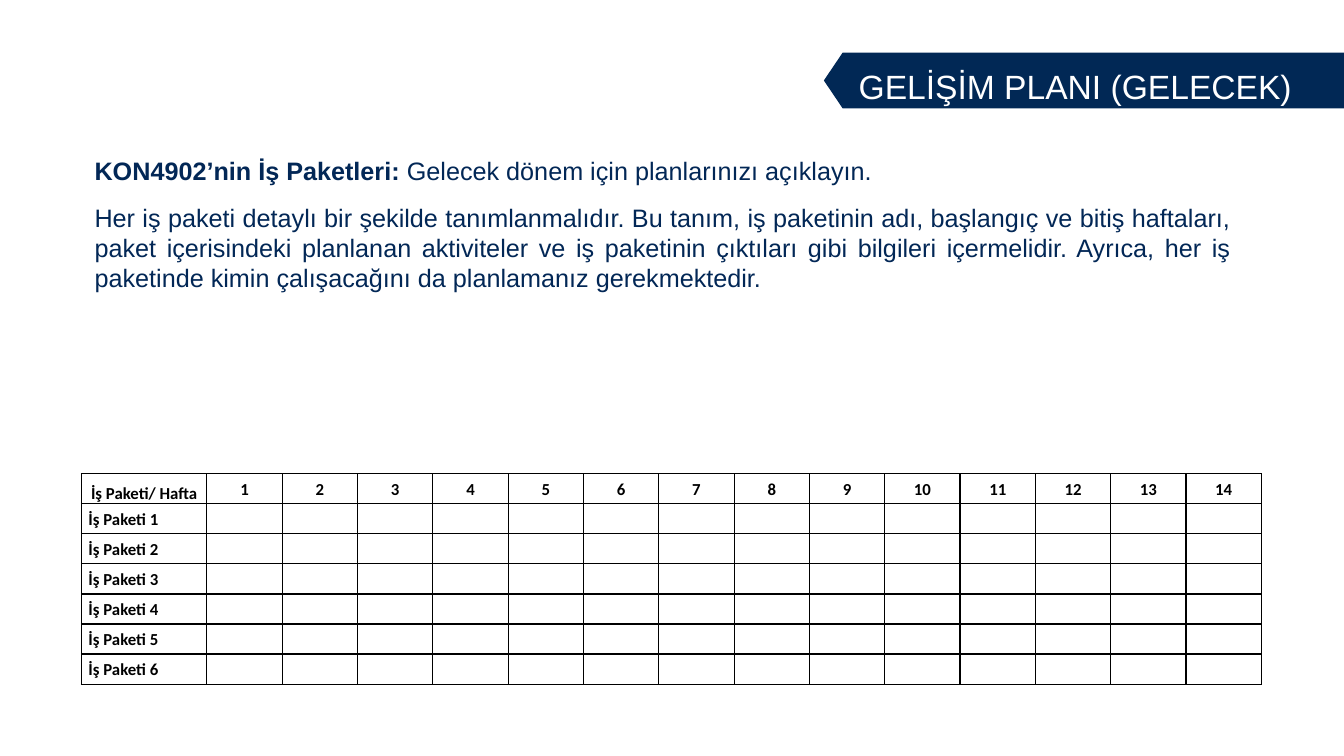
from pptx import Presentation
from pptx.dml.color import RGBColor
from pptx.enum.text import MSO_ANCHOR as Anchor, MSO_AUTO_SIZE as AutoSize, PP_ALIGN as Align
from pptx.oxml.ns import qn
from pptx.util import Pt
from lxml.etree import SubElement

BANNER_NAVY = RGBColor(0x01, 0x28, 0x55)
TEXT_NAVY = RGBColor(0x02, 0x27, 0x56)
WHITE = RGBColor(0xFF, 0xFF, 0xFF)
BLACK = RGBColor(0, 0, 0)

PACKAGE_COUNT = 6
WEEK_COUNT = 14
LABEL_WIDTH = 89.6
WEEK_WIDTH = 53.82
ROW_HEIGHT = 21.5

INTRO = [
    ("KON4902’nin İş Paketleri: ", True),
    ("Gelecek dönem için planlarınızı açıklayın.", False),
]
DETAILS = [
    ("Her iş paketi detaylı bir şekilde tanımlanmalıdır. Bu tanım, iş paketinin adı, "
     "başlangıç ve bitiş haftaları, paket içerisindeki planlanan aktiviteler ve iş "
     "paketinin çıktıları gibi bilgileri içermelidir. Ayrıca, her iş paketinde kimin "
     "çalışacağını da planlamanız gerekmektedir.", False),
]


def style_font(font, name, size, color, bold=False):
    font.name = name
    font.size = Pt(size)
    font.bold = bold
    font.color.rgb = color


def add_banner(page):
    left, tip, right, top, middle, bottom = 602, 588.5, 960, 37.5, 57.5, 77.5
    builder = page.shapes.build_freeform(Pt(left), Pt(top))
    corners = [(right, top), (right, bottom), (left, bottom), (tip, middle)]
    builder.add_line_segments([(Pt(x), Pt(y)) for x, y in corners], close=True)
    banner = builder.convert_to_shape()
    banner.shadow.inherit = False
    banner.fill.solid()
    banner.fill.fore_color.rgb = BANNER_NAVY
    banner.line.fill.background()
    return banner


def set_title(page, text):
    title = page.shapes.title
    title.left, title.top, title.width, title.height = Pt(606.2), Pt(43.2), Pt(327), Pt(36)
    frame = title.text_frame
    frame.text = text
    frame.word_wrap = False
    frame.auto_size = AutoSize.NONE
    frame.vertical_anchor = Anchor.TOP
    para = frame.paragraphs[0]
    para.alignment = Align.LEFT
    style_font(para.runs[0].font, "Arial", 24, WHITE)
    return title


def add_body(page):
    box = page.shapes.add_textbox(Pt(60.5), Pt(107.3), Pt(825.8), Pt(106.6))
    frame = box.text_frame
    frame.word_wrap = True
    intro, details = frame.paragraphs[0], frame.add_paragraph()
    details.alignment = Align.JUSTIFY
    details.space_before = Pt(6)
    for para, pieces in ((intro, INTRO), (details, DETAILS)):
        para.space_after = Pt(6)
        for text, bold in pieces:
            span = para.add_run()
            span.text = text
            style_font(span.font, "Arial", 18, TEXT_NAVY, bold)


def add_borders(cell):
    properties = cell._tc.get_or_add_tcPr()
    for position, side in enumerate(("a:lnL", "a:lnR", "a:lnT", "a:lnB")):
        line = properties.makeelement(qn(side), {"w": str(Pt(1))})
        fill = SubElement(line, qn("a:solidFill"))
        SubElement(fill, qn("a:srgbClr"), val=str(BLACK))
        properties.insert(position, line)


def format_cell(cell, text, alignment, anchor):
    cell.fill.solid()
    cell.fill.fore_color.rgb = WHITE
    cell.margin_left = cell.margin_right = Pt(5)
    cell.margin_top = cell.margin_bottom = 0
    cell.vertical_anchor = anchor
    add_borders(cell)
    para = cell.text_frame.paragraphs[0]
    para.alignment = alignment
    para.line_spacing = 1.07
    if text:
        para.text = text
        style_font(para.runs[0].font, "Calibri", 12, BLACK, True)
    else:
        SubElement(para._p, qn("a:endParaRPr"), sz="1200")


def add_schedule(page):
    row_count, column_count = PACKAGE_COUNT + 1, WEEK_COUNT + 1
    table = page.shapes.add_table(
        row_count, column_count, Pt(58.2), Pt(338.3),
        Pt(LABEL_WIDTH + WEEK_COUNT * WEEK_WIDTH), Pt(row_count * ROW_HEIGHT)).table
    table.first_row = table.horz_banding = False
    for index, column in enumerate(table.columns):
        column.width = Pt(WEEK_WIDTH if index else LABEL_WIDTH)
    for row in table.rows:
        row.height = Pt(ROW_HEIGHT)
    rows = [["İş Paketi/ Hafta"] + [str(week) for week in range(1, column_count)]]
    rows += [[f"İş Paketi {number}"] + [""] * WEEK_COUNT for number in range(1, row_count)]
    for r, texts in enumerate(rows):
        for c, text in enumerate(texts):
            alignment = Align.LEFT if r else Align.CENTER
            anchor = Anchor.BOTTOM if r == c == 0 else Anchor.MIDDLE
            format_cell(table.cell(r, c), text, alignment, anchor)


def main():
    deck = Presentation()
    deck.slide_width, deck.slide_height = Pt(960), Pt(540)
    page = deck.slides.add_slide(deck.slide_layouts[5])
    banner = add_banner(page)
    title = set_title(page, "GELİŞİM PLANI (GELECEK)")
    title.element.addprevious(banner.element)
    add_body(page)
    add_schedule(page)
    deck.save("out.pptx")


if __name__ == "__main__":
    main()
